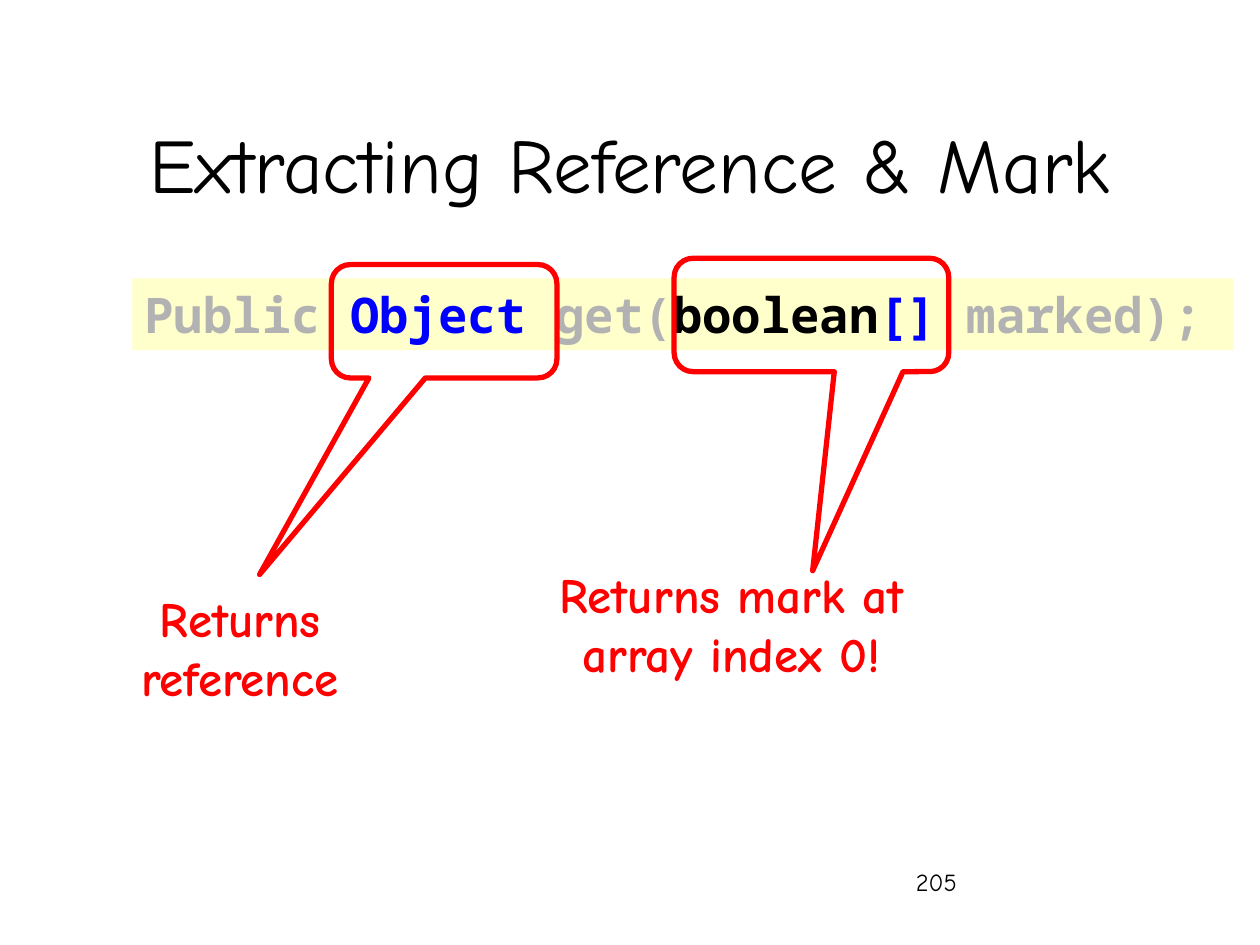
import pptx
import pptx.dml.color
import pptx.enum.shapes
import pptx.enum.text
import pptx.util

Inches = pptx.util.Inches
ALIGN = pptx.enum.text.PP_ALIGN
ANCHOR = pptx.enum.text.MSO_ANCHOR
SHAPE = pptx.enum.shapes.MSO_SHAPE

BODY_FONT, CODE_FONT = "Comic Neue", "Noto Sans Mono"
BLACK, GREY, BLUE, RED, CREAM = "000000", "B2B2B2", "0000FF", "FF0000", "FFFFCC"


def rgb(hex_color):
    return pptx.dml.color.RGBColor.from_string(hex_color)


def write(text_frame, runs, align=ALIGN.LEFT, anchor=ANCHOR.TOP, **font_format):
    """Write one paragraph from (text, colour) runs that share a font format."""
    text_frame.word_wrap = True
    text_frame.auto_size = pptx.enum.text.MSO_AUTO_SIZE.NONE
    text_frame.vertical_anchor = anchor
    paragraph = text_frame.paragraphs[0]
    paragraph.alignment = align
    for text, color in runs:
        run = paragraph.add_run()
        run.text = text
        run.font.color.rgb = rgb(color)
        for attribute, value in font_format.items():
            setattr(run.font, attribute, value)


def place_title(slide, box, text):
    title = slide.shapes.title
    title.left, title.top, title.width, title.height = map(Inches, box)
    write(title.text_frame, [(text, BLACK)], ALIGN.CENTER, ANCHOR.MIDDLE,
          name=BODY_FONT, size=pptx.util.Pt(44))


def add_code_band(slide, box, runs):
    band = slide.shapes.add_shape(SHAPE.RECTANGLE, *map(Inches, box))
    band.shadow.inherit = False
    band.fill.solid()
    band.fill.fore_color.rgb = rgb(CREAM)
    band.line.fill.background()
    write(band.text_frame, runs, name=CODE_FONT, size=pptx.util.Pt(28), bold=True)


def add_callout(slide, box, tip):
    """Outline a code part, with the tail ending at the tip (x, y)."""
    left, top, width, height = box
    callout = slide.shapes.add_shape(SHAPE.ROUNDED_RECTANGULAR_CALLOUT,
                                     *map(Inches, box))
    callout.shadow.inherit = False
    callout.fill.background()
    callout.line.color.rgb = rgb(RED)
    callout.line.width = pptx.util.Pt(3)
    # Tail offsets are fractions of the box, measured from its centre
    callout.adjustments[0] = (tip[0] - left) / width - 0.5
    callout.adjustments[1] = (tip[1] - top) / height - 0.5


def add_note(slide, box, text):
    note = slide.shapes.add_textbox(*map(Inches, box))
    write(note.text_frame, [(text, RED)], ALIGN.CENTER,
          name=BODY_FONT, size=pptx.util.Pt(28), bold=True)


def add_page_number(slide, box, number):
    page = slide.shapes.add_textbox(*map(Inches, box))
    write(page.text_frame, [(number, BLACK)], name=BODY_FONT, size=pptx.util.Pt(14))


def main():
    deck = pptx.Presentation()
    deck.slide_width, deck.slide_height = Inches(10), Inches(7.5)
    slide = deck.slides.add_slide(deck.slide_layouts[5])

    add_page_number(slide, (7.17, 6.83, 2.08, 0.5), "205")
    place_title(slide, (0.75, 0.67, 8.5, 1.25), "Extracting Reference & Mark")

    # Method signature
    add_code_band(slide, (1.05, 2.21, 8.74, 0.57), [
        ("Public", GREY), (" Object ", BLUE), ("get(", GREY),
        ("boolean", BLACK), ("[]", BLUE), (" marked);", GREY)])

    # Callout box, tail tip, note box, note
    explanations = [
        ((2.63, 2.1, 1.79, 0.9), (2.06, 4.56),
         (0.63, 4.62, 2.55, 1.03), "Returns reference"),
        ((5.35, 2.05, 2.18, 0.9), (6.45, 4.53),
         (3.99, 4.43, 3.63, 1.03), "Returns mark at array index 0!"),
    ]
    for callout_box, tip, note_box, text in explanations:
        add_callout(slide, callout_box, tip)
        add_note(slide, note_box, text)

    deck.save("out.pptx")


if __name__ == "__main__":
    main()
